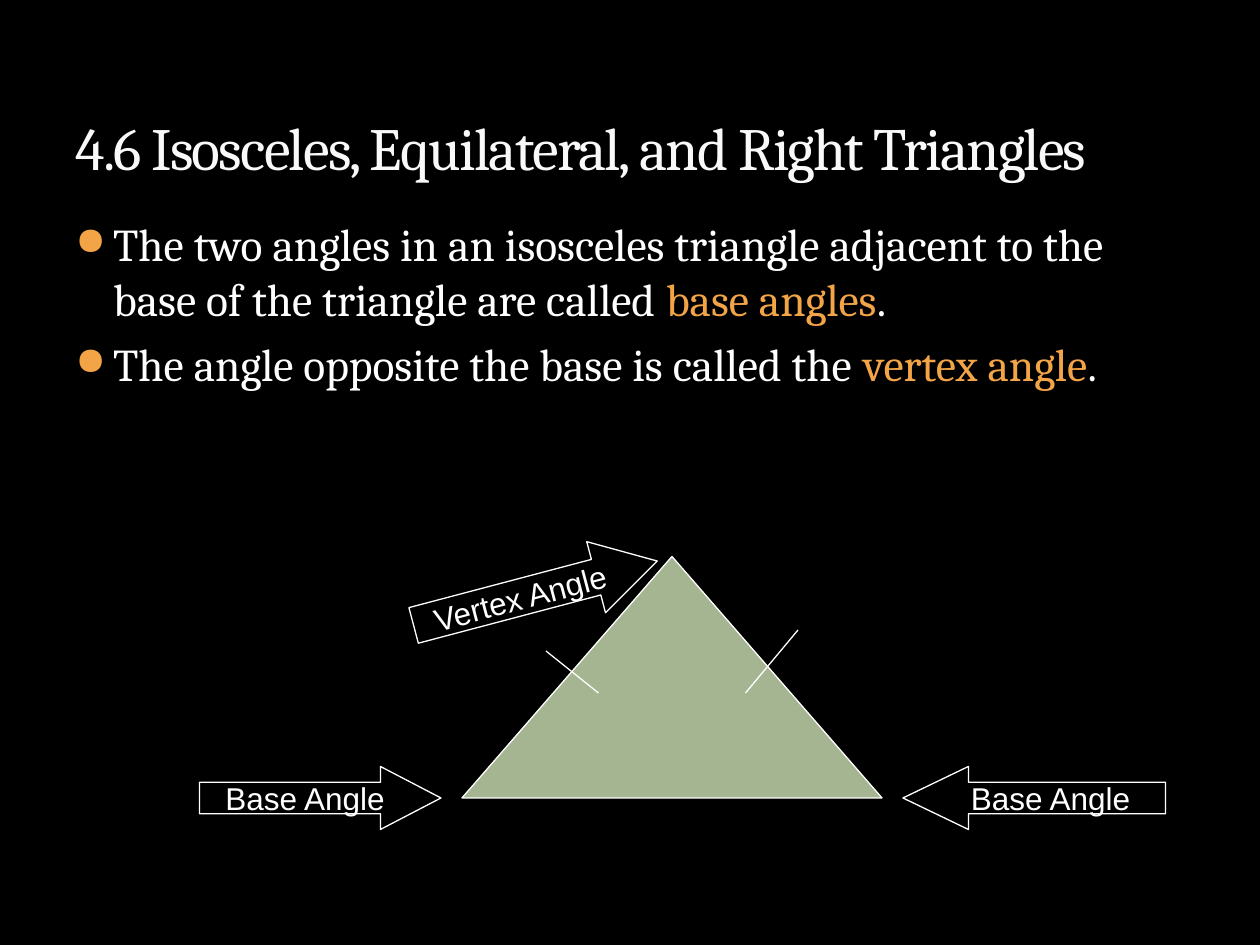
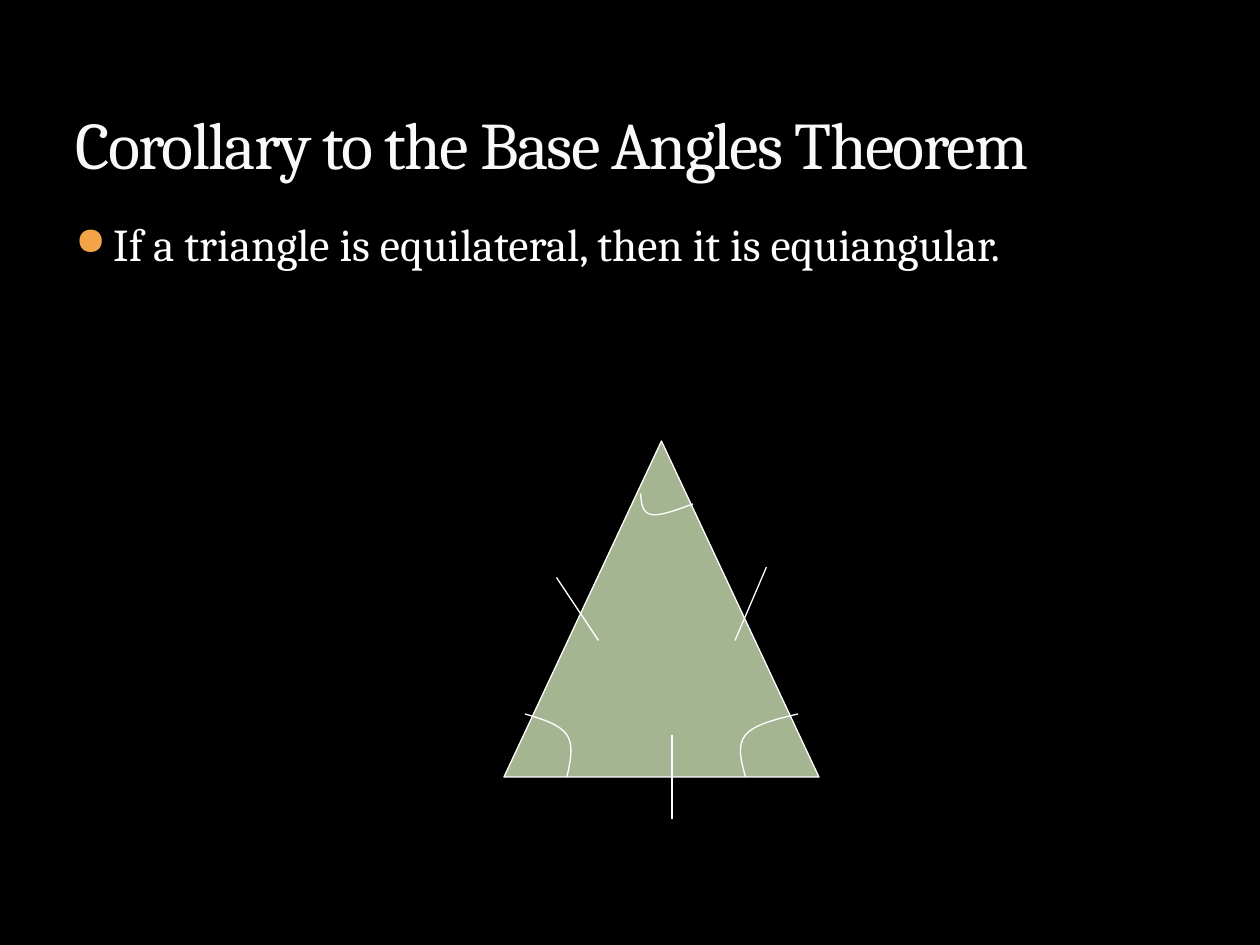
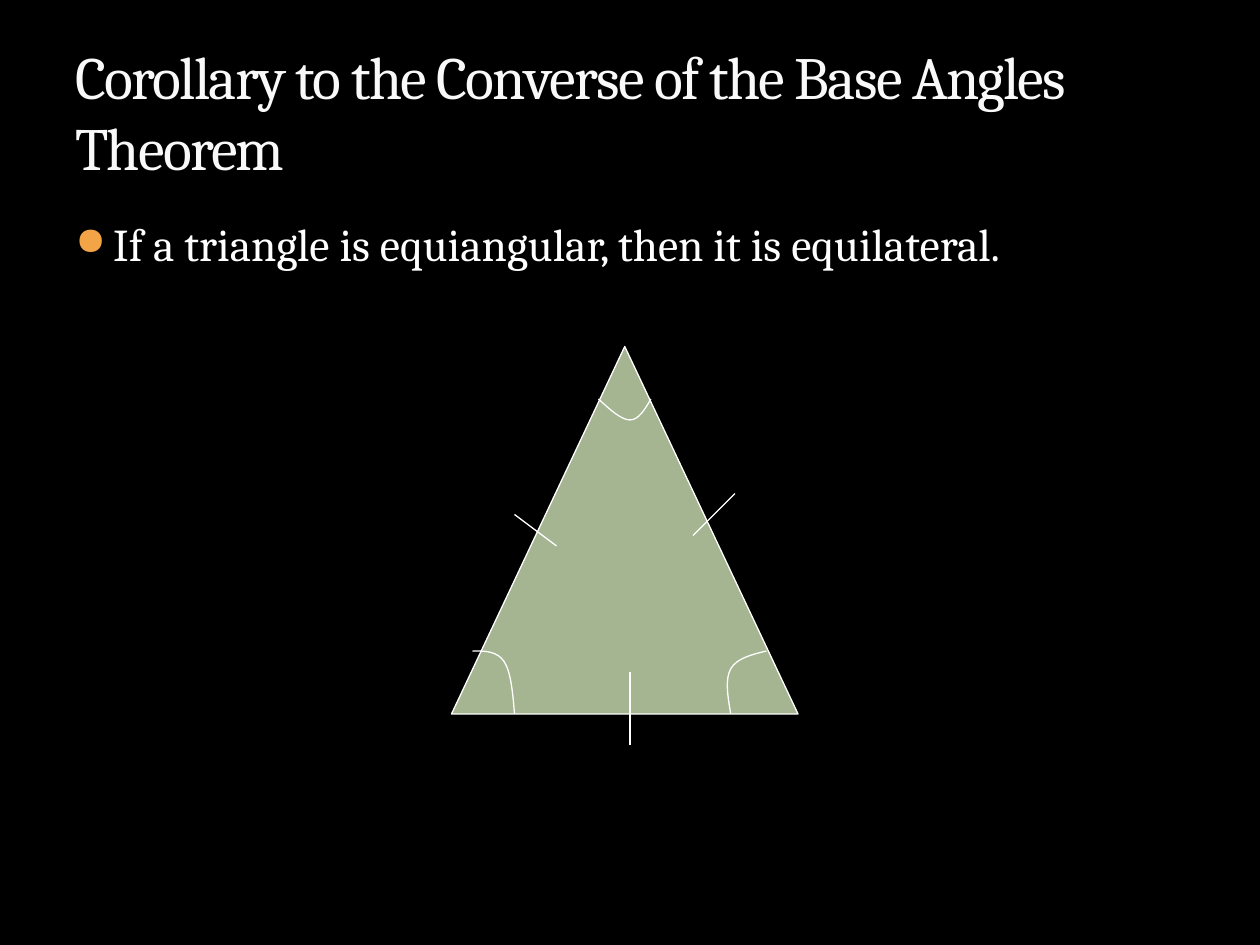
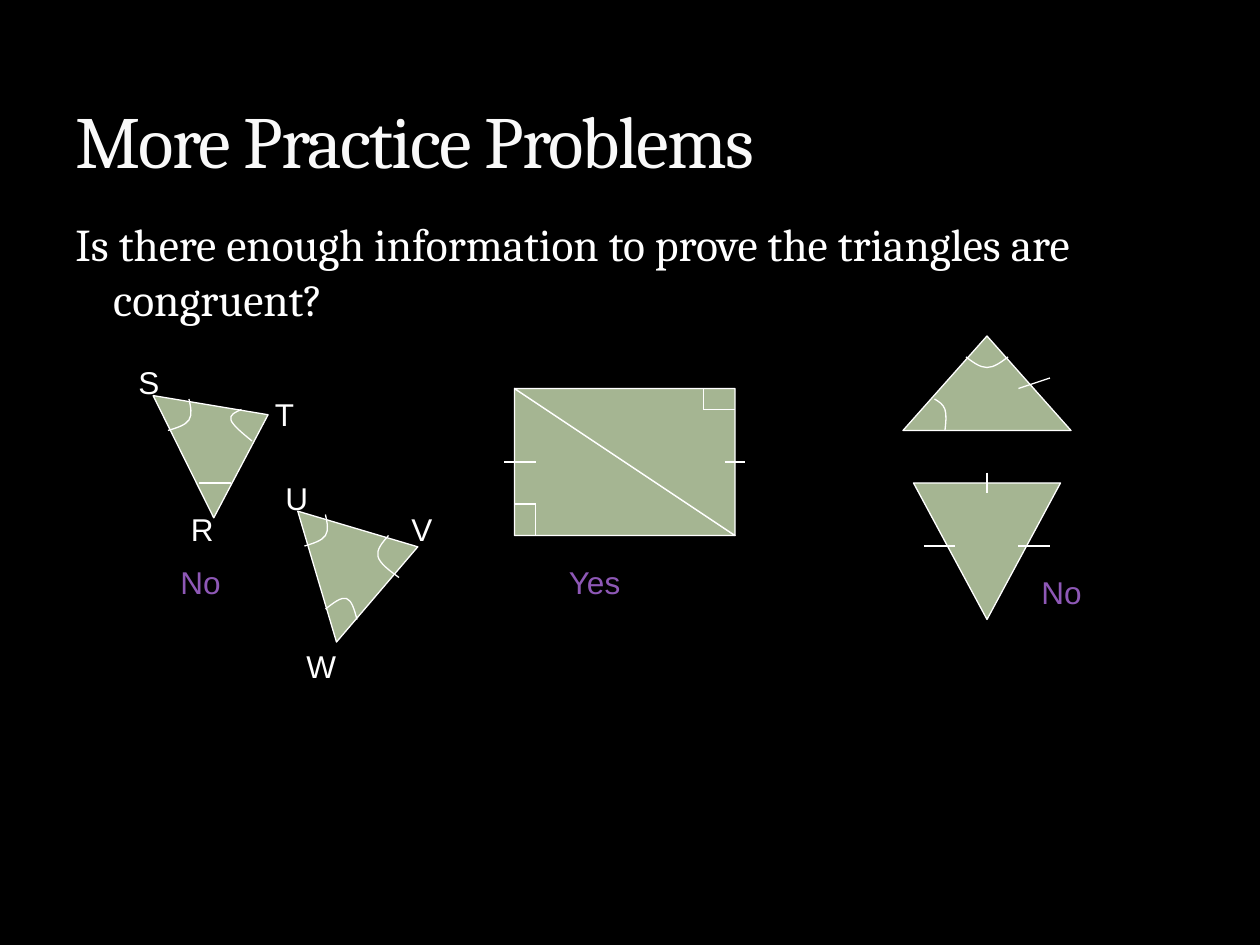
from dataclasses import dataclass

from lxml.etree import SubElement
from pptx import Presentation
from pptx.dml.color import RGBColor
from pptx.enum.shapes import MSO_CONNECTOR, MSO_SHAPE
from pptx.enum.text import MSO_ANCHOR, MSO_AUTO_SIZE, PP_ALIGN
from pptx.oxml.ns import qn
from pptx.util import Inches, Pt


@dataclass(frozen=True)
class Theme:
    """Colours, fonts and type sizes shared by all slides."""

    background: str = "000000"
    title: str = "F9F9F9"
    title_outline: str = "3C4422"
    text: str = "FFFFFF"
    accent: str = "F3A447"
    figure: str = "A5B592"
    answer: str = "8E58B6"
    serif: str = "Cambria"
    sans: str = "Arial"
    body_size: float = 26
    label_size: float = 18
    line_width: float = 0.75


@dataclass(frozen=True)
class Box:
    """A region measured in grid cells."""

    left: float
    top: float
    width: float
    height: float

    def inner(self, left, top, width, height):
        """Return a region offset from this one's top left corner."""
        return Box(self.left + left, self.top + top, width, height)

    def point(self, across, down):
        """Return the slide position of a point offset from the corner."""
        return cells(self.left + across), cells(self.top + down)

    def frame(self):
        """Return left, top, width and height as slide lengths."""
        return [cells(side) for side in (self.left, self.top, self.width, self.height)]


THEME = Theme()
CELLS_PER_INCH = 12
PAGE = Box(0, 0, 120, 90)
TITLE = PAGE.inner(6, 2, 108, 16)
BODY = PAGE.inner(6, 20, 108, 60)
LABEL_HEIGHT = 4.8


def cells(count):
    """Convert grid cells to a slide length."""
    return Inches(count / CELLS_PER_INCH)


def color(value):
    """Return a colour from its hex digits."""
    return RGBColor.from_string(value)


def style_font(font, name, size, value):
    """Set the face, size and colour of a font."""
    font.name = name
    font.size = Pt(size)
    font.color.rgb = color(value)


def style_line(line):
    """Give an outline the shared colour and width."""
    line.color.rgb = color(THEME.text)
    line.width = Pt(THEME.line_width)


def add_title(page, box, text, size):
    """Write the slide title at the bottom of its box."""
    frame = page.shapes.add_textbox(*box.frame()).text_frame
    frame.word_wrap = True
    frame.vertical_anchor = MSO_ANCHOR.BOTTOM
    para = frame.paragraphs[0]
    para.text = text
    style_font(para.font, THEME.serif, size, THEME.title)
    properties = para._p.pPr.find(qn("a:defRPr"))
    properties.set("spc", "-100")
    outline = SubElement(properties, qn("a:ln"), w=str(Pt(0.25)))
    properties.insert(0, outline)
    fill = SubElement(outline, qn("a:solidFill"))
    tint = SubElement(fill, qn("a:srgbClr"), val=THEME.title_outline)
    SubElement(tint, qn("a:alpha"), val="25000")


def set_bullet(para, bulleted):
    """Set the hanging indent and the bullet of a paragraph."""
    properties = para._p.get_or_add_pPr()
    properties.set("marL", str(Inches(0.3)))
    properties.set("indent", str(-Inches(0.3)))
    if bulleted:
        tint = SubElement(properties, qn("a:buClr"))
        SubElement(tint, qn("a:srgbClr"), val=THEME.accent)
        SubElement(properties, qn("a:buSzPct"), val="85000")
        SubElement(properties, qn("a:buChar"), char="●")
    else:
        SubElement(properties, qn("a:buNone"))


def add_body(page, box, points, bulleted=True):
    """Write paragraphs whose every second span is emphasised."""
    frame = page.shapes.add_textbox(*box.frame()).text_frame
    frame.word_wrap = True
    for number, spans in enumerate(points):
        para = frame.add_paragraph() if number else frame.paragraphs[0]
        set_bullet(para, bulleted)
        if number:
            para.space_before = Pt(6)
        style_font(para.font, THEME.serif, THEME.body_size, THEME.text)
        for position, text in enumerate(spans):
            span = para.add_run()
            span.text = text
            if position % 2:
                span.font.color.rgb = color(THEME.accent)


def add_figure(page, box, kind=MSO_SHAPE.ISOSCELES_TRIANGLE, rotation=0):
    """Draw a filled preset shape over the whole box."""
    figure = page.shapes.add_shape(kind, *box.frame())
    figure.rotation = rotation
    figure.shadow.inherit = False
    figure.fill.solid()
    figure.fill.fore_color.rgb = color(THEME.figure)
    style_line(figure.line)
    return figure


def add_arrow(page, box, kind, text, head, rotation=0):
    """Draw a hollow arrow with a centred label."""
    arrow = add_figure(page, box, kind, rotation)
    arrow.fill.background()
    arrow.adjustments[1] = head
    frame = arrow.text_frame
    frame.word_wrap = False
    frame.vertical_anchor = MSO_ANCHOR.MIDDLE
    para = frame.paragraphs[0]
    para.text = text
    para.alignment = PP_ALIGN.CENTER
    style_font(para.font, THEME.sans, THEME.label_size, THEME.text)


def add_strokes(page, box, strokes):
    """Draw straight strokes between points offset from the box."""
    for start_x, start_y, end_x, end_y in strokes:
        stroke = page.shapes.add_connector(
            MSO_CONNECTOR.STRAIGHT, *box.point(start_x, start_y), *box.point(end_x, end_y)
        )
        style_line(stroke.line)
        SubElement(stroke._element.spPr, qn("a:effectLst"))


def blend(first, second, share=0.5):
    """Return the point at a share of the way between two points."""
    return tuple(round(a + (b - a) * share) for a, b in zip(first, second))


def add_angles(page, box, angles):
    """Draw smooth angle marks, each through three points."""
    for angle in angles:
        start, middle, end = [box.point(*spot) for spot in angle]
        reach = [(b - a) / 6 for a, b in zip(start, end)]
        before = tuple(round(m - r) for m, r in zip(middle, reach))
        after = tuple(round(m + r) for m, r in zip(middle, reach))
        builder = page.shapes.build_freeform(*start)
        builder.add_line_segments(
            [blend(start, before), before, middle, after, blend(after, end), end], close=False
        )
        mark = builder.convert_to_shape()
        mark.shadow.inherit = False
        mark.fill.background()
        style_line(mark.line)
        segments = list(mark._element.iter(qn("a:lnTo")))
        outline = segments[0].getparent()
        for first in (0, 3):
            curve = SubElement(outline, qn("a:cubicBezTo"))
            for segment in segments[first:first + 3]:
                curve.append(segment[0])
                outline.remove(segment)


def add_label(page, box, text, value=THEME.text, wrap=False):
    """Write a short label that sizes its own box."""
    frame = page.shapes.add_textbox(*box.frame()).text_frame
    frame.word_wrap = wrap
    frame.auto_size = MSO_AUTO_SIZE.SHAPE_TO_FIT_TEXT
    para = frame.paragraphs[0]
    para.text = text
    style_font(para.font, THEME.sans, THEME.label_size, value)


def add_vertices(page, box, vertices):
    """Name the corners of a figure."""
    for text, across, down, width in vertices:
        add_label(page, box.inner(across, down, width, LABEL_HEIGHT), text)


def add_answer(page, box, text, across, down, width):
    """Write the answer that belongs to a figure."""
    add_label(page, box.inner(across, down, width, LABEL_HEIGHT), text, THEME.answer, wrap=True)


def add_marked_triangle(page, box, strokes=(), angles=(), rotation=0):
    """Draw a triangle with its side and angle marks."""
    add_figure(page, box, rotation=rotation)
    add_strokes(page, box, strokes)
    add_angles(page, box, angles)


def add_isosceles(page, box):
    """Draw the isosceles triangle with arrows to its angles."""
    add_marked_triangle(page, box, [(8, 9, 13, 13), (32, 7, 27, 13)])
    right, left = MSO_SHAPE.RIGHT_ARROW, MSO_SHAPE.LEFT_ARROW
    add_arrow(page, box.inner(-25, 20, 23, 6), right, "Base Angle", 0.96)
    add_arrow(page, box.inner(42, 20, 25, 6), left, "Base Angle", 1.04)
    add_arrow(page, box.inner(-5, 0, 24, 7), right, "Vertex Angle", 0.86, 345.2)


def add_upper_triangle(page, box):
    """Draw triangle RST and the answer below it."""
    add_marked_triangle(
        page, box, [(4, 9, 7, 9)],
        [((8, 2), (7, 3), (9, 5)), ((3, 1), (3, 3), (1, 4))], 63.6,
    )
    add_vertices(page, box, [("S", -3, -3, 4.4), ("R", 2, 11, 4.6), ("T", 10, 0, 4.2)])
    add_answer(page, box, "No", 1, 16, 13)


def add_lower_triangle(page, box):
    """Draw triangle UVW with three angle marks."""
    angles = [
        ((0.5, 3.5), (2.5, 2.5), (2.5, 0.5)),
        ((2.5, 9.5), (4.5, 8.5), (5.5, 10.5)),
        ((8.5, 2.5), (7.5, 4.5), (9.5, 6.5)),
    ]
    add_marked_triangle(page, box, angles=angles, rotation=73.5)
    add_vertices(page, box, [("U", -2.5, -3.5, 4.6), ("V", 9.5, -0.5, 4.4), ("W", -0.5, 12.5, 5.3)])


def add_split_rectangle(page, box):
    """Draw two right triangles that share a diagonal."""
    for rotation in (0, 180):
        add_figure(page, box, MSO_SHAPE.RIGHT_TRIANGLE, rotation)
    right_angles = [(0, 11, 2, 11), (2, 11, 2, 14), (18, 0, 18, 2), (18, 2, 21, 2)]
    ticks = [(-1, 7, 2, 7), (20, 7, 22, 7)]
    add_strokes(page, box, right_angles + ticks)
    add_answer(page, box, "Yes", 4, 16, 27)


def add_facing_triangles(page, box):
    """Draw a triangle above an inverted one."""
    add_marked_triangle(
        page, box.inner(0, 0, 16, 9), [(11, 5, 14, 4)],
        [((6, 2), (8, 3), (10, 2)), ((3, 6), (4, 7), (4, 9))],
    )
    inverted = box.inner(1, 14, 14, 13)
    ticks = [(1, 6, 4, 6), (10, 6, 13, 6), (7, -1, 7, 1)]
    add_marked_triangle(page, inverted, ticks, rotation=180)
    add_answer(page, inverted, "No", 11, 8, 16)


def add_page(deck, title, size, points, bulleted=True):
    """Add a dark slide with its title and body text."""
    page = deck.slides.add_slide(deck.slide_layouts[6])
    page.background.fill.solid()
    page.background.fill.fore_color.rgb = color(THEME.background)
    add_body(page, BODY, points, bulleted)
    add_title(page, TITLE, title, size)
    return page


def main():
    """Build the deck and save it."""
    deck = Presentation()
    deck.slide_width, deck.slide_height = cells(PAGE.width), cells(PAGE.height)

    page = add_page(deck, "4.6 Isosceles, Equilateral, and Right Triangles", 34.2, [
        ["The two angles in an isosceles triangle adjacent to the base of the triangle are called ",
         "base angles", "."],
        ["The angle opposite the base is called the ", "vertex angle", "."],
    ])
    add_isosceles(page, PAGE.inner(44, 53, 40, 23))

    page = add_page(deck, "Corollary to the Base Angles Theorem", 38,
                    [["If a triangle is equilateral, then it is equiangular."]])
    add_marked_triangle(
        page, PAGE.inner(48, 42, 30, 32),
        [(5, 13, 9, 19), (25, 12, 22, 19), (16, 28, 16, 36)],
        [((2, 26), (6, 28), (6, 32)), ((28, 26), (23, 28), (23, 32)), ((13, 5), (14, 7), (18, 6))],
    )

    page = add_page(deck, "Corollary to the Converse of the Base Angles Theorem", 34.2,
                    [["If a triangle is equiangular, then it is equilateral."]])
    add_marked_triangle(
        page, PAGE.inner(43, 33, 33, 35),
        [(6, 16, 10, 19), (27, 14, 23, 18), (17, 31, 17, 38)],
        [((2, 29), (5, 30), (6, 35)), ((30, 29), (26.6, 30.7), (26.6, 35)),
         ((14, 5), (17, 7), (19, 5))],
    )

    page = add_page(deck, "More Practice Problems", 42,
                    [["Is there enough information to prove the triangles are congruent?"]],
                    bulleted=False)
    add_upper_triangle(page, PAGE.inner(15, 37, 13, 9))
    add_lower_triangle(page, PAGE.inner(28.5, 48.5, 13, 10))
    add_split_rectangle(page, PAGE.inner(49, 37, 21, 14))
    add_facing_triangles(page, PAGE.inner(86, 32, 16, 27))

    deck.save("out.pptx")


if __name__ == "__main__":
    main()
